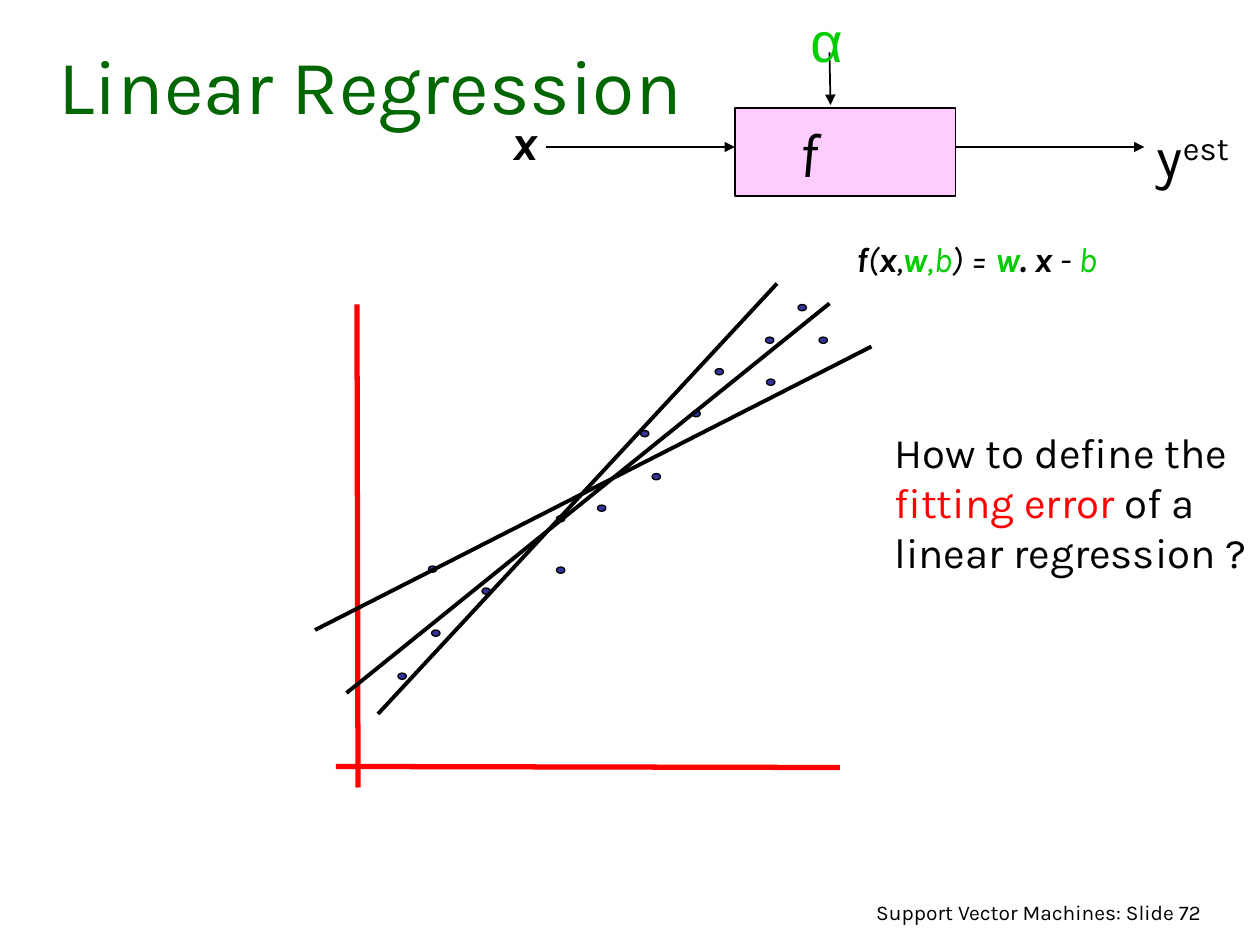
from dataclasses import dataclass

from lxml import etree
from pptx import Presentation
from pptx.dml.color import RGBColor
from pptx.enum.shapes import MSO_CONNECTOR, MSO_SHAPE
from pptx.enum.text import MSO_ANCHOR, PP_ALIGN
from pptx.oxml.ns import qn
from pptx.util import Pt

PX = 7620  # EMU per px, 120 px to the inch
LEFT, CENTER, RIGHT = PP_ALIGN.LEFT, PP_ALIGN.CENTER, PP_ALIGN.RIGHT
TOP, MIDDLE, BOTTOM = MSO_ANCHOR.TOP, MSO_ANCHOR.MIDDLE, MSO_ANCHOR.BOTTOM
RECT, OVAL, STRAIGHT = MSO_SHAPE.RECTANGLE, MSO_SHAPE.OVAL, MSO_CONNECTOR.STRAIGHT


@dataclass(frozen=True)
class Theme:
    font: str = "Karla"
    symbol_font: str = "Arial"
    ink: str = "000000"
    title: str = "006600"
    param: str = "00CC00"
    accent: str = "FF0000"
    box: str = "FFCCFF"
    dot: str = "333399"
    title_size: int = 44
    function_size: int = 36
    symbol_size: int = 32
    input_size: int = 28
    body_size: int = 24
    formula_size: int = 20
    footer_size: int = 12


T = Theme()
BOLD_ITALIC = {"bold": True, "italic": True}
ITALIC = {"italic": True}


def rgb(value):
    return RGBColor.from_string(value)


def write(sp, runs, size, align=LEFT, anchor=TOP, inset=(12, 6, 12, 6)):
    """Fill one paragraph with runs of (text, colour, font format)."""
    tf = sp.text_frame
    tf.word_wrap = True
    tf.vertical_anchor = anchor
    for side, px in zip(("left", "top", "right", "bottom"), inset):
        setattr(tf, f"margin_{side}", px * PX)
    p = tf.paragraphs[0]
    p.alignment = align
    for text, color, extra in runs:
        r = p.add_run()
        r.text = text
        for name, value in {"name": T.font, "size": Pt(size), **extra}.items():
            setattr(r.font, name, value)
        r.font.color.rgb = rgb(color)
    return p


def add_text(s, box, runs, size, **layout):
    sp = s.shapes.add_textbox(*(v * PX for v in box))
    return write(sp, runs, size, **layout)


def add_shape(s, kind, box, fill, width):
    sp = s.shapes.add_shape(kind, *(v * PX for v in box))
    sp.shadow.inherit = False
    sp.fill.solid()
    sp.fill.fore_color.rgb = rgb(fill)
    sp.line.color.rgb = rgb(T.ink)
    sp.line.width = Pt(width)
    return sp


def add_line(s, ends, color, width, arrow=False):
    line = s.shapes.add_connector(STRAIGHT, *(v * PX for v in ends))
    line.line.color.rgb = rgb(color)
    line.line.width = Pt(width)
    if arrow:
        etree.SubElement(line.line._get_or_add_ln(), qn("a:tailEnd"), type="triangle")
    etree.SubElement(line._element.spPr, qn("a:effectLst"))


def add_title(s, box):
    add_text(s, box, [("Linear Regression", T.title, {})], T.title_size,
             align=CENTER, anchor=BOTTOM, inset=(28, 6, 12, 6))


def add_machine(s, x, y):
    """Input, parameter and output arrows around the function box."""
    function = add_shape(s, RECT, (x + 240, y + 103, 210, 84), T.box, 1)
    write(function, [("f", T.ink, ITALIC)], T.function_size,
          align=CENTER, anchor=MIDDLE, inset=(12, 6, 82, 6))

    for x1, y1, x2, y2 in ((60, 140, 240, 140), (330, 50, 331, 100), (450, 140, 630, 140)):
        add_line(s, (x + x1, y + y1, x + x2, y + y2), T.ink, 1, arrow=True)

    add_text(s, (x, y + 100, 80, 68), [("x", T.ink, BOLD_ITALIC)],
             T.input_size, align=CENTER)
    add_text(s, (x + 300, y, 50, 77), [("α", T.param, {"name": T.symbol_font})],
             T.symbol_size, align=CENTER)
    output = add_text(s, (x + 630, y + 110, 110, 77),
                      [("y", T.ink, {}), ("est", T.ink, {})], T.symbol_size)
    output.runs[1].font._element.set("baseline", "30000")


def add_formula(s, box):
    runs = [
        ("f", T.ink, BOLD_ITALIC), ("(", T.ink, ITALIC),
        ("x", T.ink, BOLD_ITALIC), (",", T.ink, ITALIC),
        ("w", T.param, BOLD_ITALIC), (",b", T.param, ITALIC),
        (") = ", T.ink, ITALIC), ("w", T.param, BOLD_ITALIC),
        (". x ", T.ink, BOLD_ITALIC), ("- ", T.ink, ITALIC),
        ("b", T.param, ITALIC),
    ]
    add_text(s, box, runs, T.formula_size, align=CENTER)


def add_plot(s, x, y):
    """Axes, data points and three candidate fits."""
    axes = ((40, 20, 41, 480), (20, 460, 500, 461))
    fits = ((0, 330, 530, 60), (60, 410, 440, 0), (30, 390, 490, 19))
    centers = (
        (83, 374), (112, 272), (115, 333), (163, 293), (234, 224),
        (234, 273), (273, 214), (314, 143), (325, 184), (363, 124),
        (385, 84), (433, 54), (434, 94), (464, 23), (484, 54),
    )
    dot_w, dot_h = 8, 6

    for x1, y1, x2, y2 in axes:
        add_line(s, (x + x1, y + y1, x + x2, y + y2), T.accent, 3)
    for cx, cy in centers:
        box = (x + cx - dot_w // 2, y + cy - dot_h // 2, dot_w, dot_h)
        add_shape(s, OVAL, box, T.dot, 0.75)
    for x1, y1, x2, y2 in fits:
        add_line(s, (x + x1, y + y1, x + x2, y + y2), T.ink, 2.25)


def add_question(s, box):
    runs = [("How to define the ", T.ink, {}), ("fitting error", T.accent, {}),
            (" of a linear regression ?", T.ink, {})]
    add_text(s, box, runs, T.body_size)


def add_footer(s, box):
    add_text(s, box, [("Support Vector Machines: Slide 72", T.ink, {})],
             T.footer_size, align=RIGHT)


def main():
    prs = Presentation()
    prs.slide_width, prs.slide_height = 1200 * PX, 900 * PX
    s = prs.slides.add_slide(prs.slide_layouts[6])
    add_footer(s, (686, 851, 470, 40))
    add_title(s, (20, 40, 650, 90))
    add_machine(s, 460, 0)
    add_formula(s, (720, 220, 420, 53))
    add_plot(s, 300, 270)
    add_question(s, (840, 400, 360, 204))
    prs.save("out.pptx")


if __name__ == "__main__":
    main()
